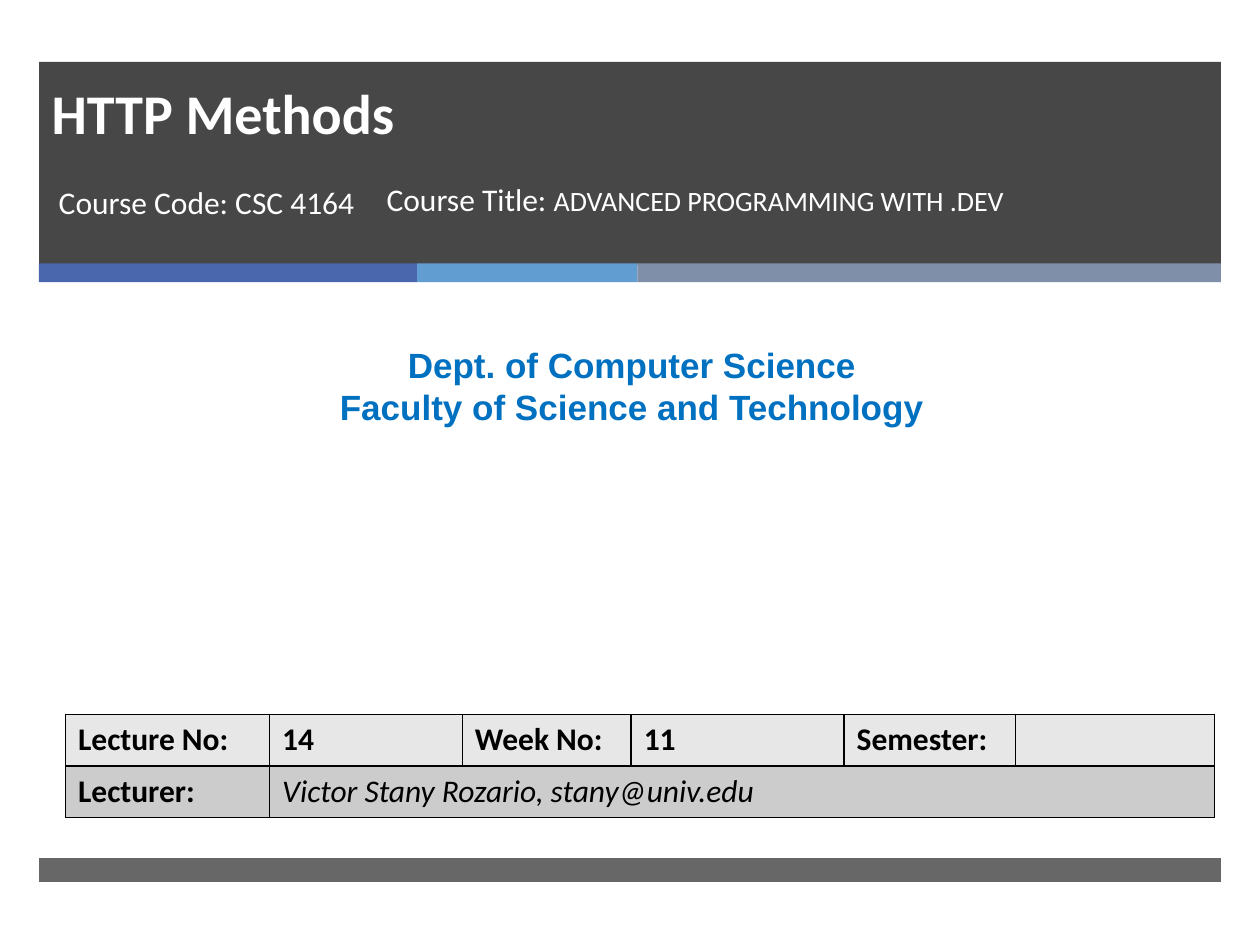
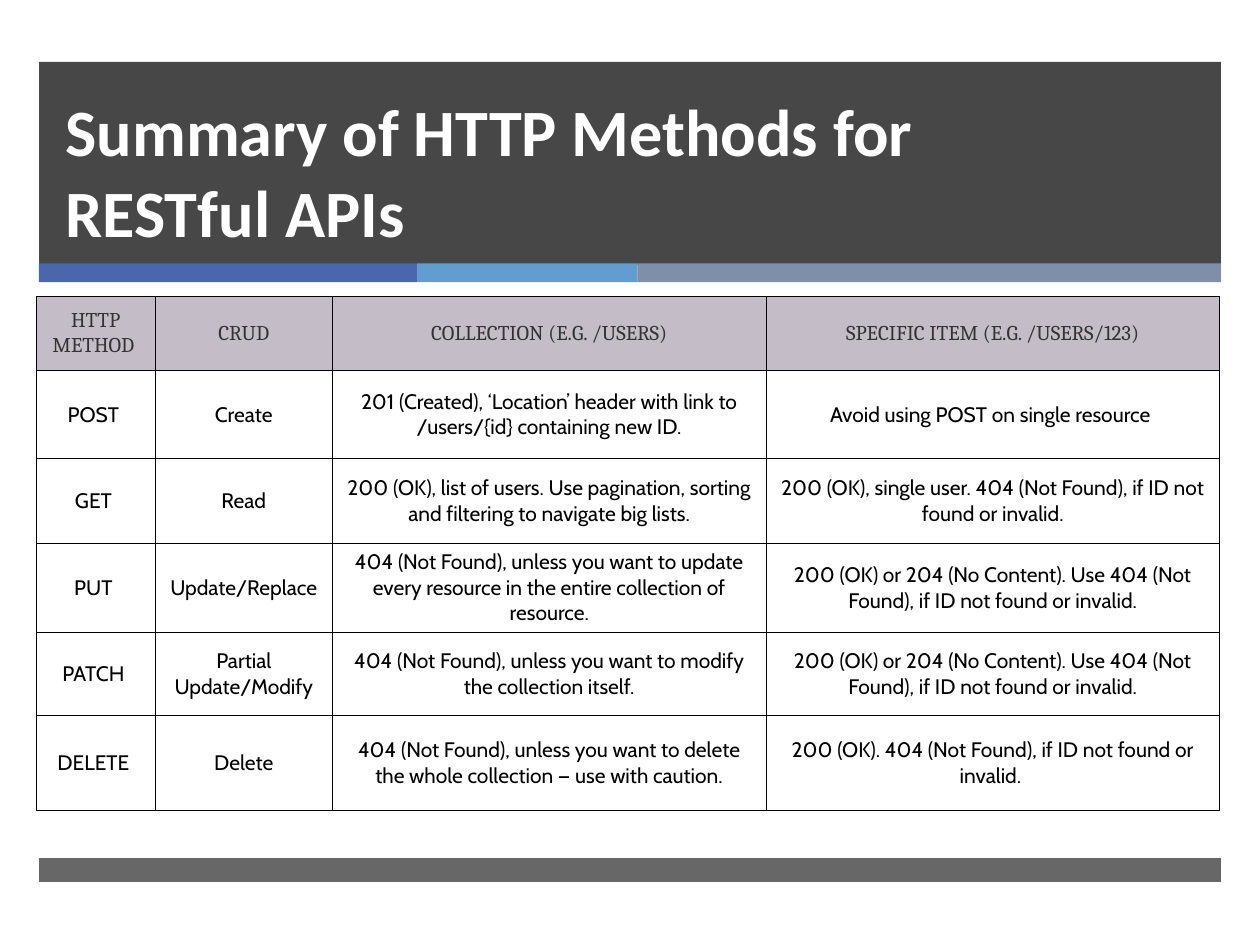
from pptx import Presentation
from pptx.dml.color import RGBColor
from pptx.enum.shapes import MSO_SHAPE as Shape
from pptx.enum.text import MSO_ANCHOR as Anchor, MSO_AUTO_SIZE as AutoSize, PP_ALIGN as Align
from pptx.oxml import parse_xml
from pptx.oxml.ns import nsdecls
from pptx.util import Inches, Pt

# Colours
WHITE = RGBColor(0xFF, 0xFF, 0xFF)
BLACK = RGBColor(0x00, 0x00, 0x00)
HEADER_GREY = RGBColor(0x47, 0x47, 0x47)
FOOTER_GREY = RGBColor(0x67, 0x67, 0x67)
INDIGO = RGBColor(0x4A, 0x66, 0xAC)
SKY = RGBColor(0x62, 0x9D, 0xD1)
SLATE = RGBColor(0x7F, 0x8F, 0xA9)
DEPARTMENT_BLUE = RGBColor(0x00, 0x70, 0xC0)
ROW_LIGHT = RGBColor(0xE7, 0xE7, 0xE7)
ROW_DARK = RGBColor(0xCC, 0xCC, 0xCC)
MAUVE = RGBColor(0xC4, 0xBC, 0xC6)
CHARCOAL = RGBColor(0x33, 0x33, 0x33)

TITLE_LAYOUT, TITLE_ONLY_LAYOUT = 0, 5

# Left, top, width, height and colour of the bands on every slide
BANDS = [
    (0.31, 0.49, 9.38, 1.61, HEADER_GREY),
    (0.31, 2.09, 3, 0.15, INDIGO),
    (3.31, 2.09, 1.75, 0.15, SKY),
    (5.06, 2.09, 4.63, 0.15, SLATE),
    (0.31, 6.81, 9.38, 0.19, FOOTER_GREY),
]

LECTURE_ROWS = [
    ["Lecture No:", "14", "Week No:", "11", "Semester:", ""],
    ["Lecturer:", "Victor Stany Rozario, stany@univ.edu", "", "", "", ""],
]

METHOD_ROWS = [
    ["HTTP METHOD ", "CRUD", "COLLECTION (E.G. /USERS)", "SPECIFIC ITEM (E.G. /USERS/123)"],
    ["POST ", "Create",
     "201 (Created), ‘Location’ header with link to /users/{id} containing new ID.",
     "Avoid using POST on single resource "],
    ["GET ", "Read",
     "200 (OK), list of users. Use pagination, sorting and filtering to navigate big lists.",
     "200 (OK), single user. 404 (Not Found), if ID not found or invalid."],
    ["PUT ", "Update/Replace",
     "404 (Not Found), unless you want to update every resource in the entire collection of resource.",
     "200 (OK) or 204 (No Content). Use 404 (Not Found), if ID not found or invalid."],
    ["PATCH ", "Partial Update/Modify",
     "404 (Not Found), unless you want to modify the collection itself.",
     "200 (OK) or 204 (No Content). Use 404 (Not Found), if ID not found or invalid."],
    ["DELETE ", "Delete",
     "404 (Not Found), unless you want to delete the whole collection — use with caution.",
     "200 (OK). 404 (Not Found), if ID not found or invalid. "],
]


class Deck:
    """Holds the presentation, its style and the current slide."""

    def __init__(self):
        self.presentation = Presentation()
        self.presentation.slide_width = Inches(10)
        self.presentation.slide_height = Inches(7.5)
        self.slide = None

    def add_slide(self, layout):
        self.slide = self.presentation.slides.add_slide(self.presentation.slide_layouts[layout])
        for left, top, width, height, color in BANDS:
            self.band(left, top, width, height, color)

    def band(self, left, top, width, height, color):
        shape = self.slide.shapes.add_shape(
            Shape.RECTANGLE, Inches(left), Inches(top), Inches(width), Inches(height))
        shape.shadow.inherit = False
        shape.fill.solid()
        shape.fill.fore_color.rgb = color
        shape.line.fill.background()

    def style(self, text_frame, size, color=WHITE, font="Calibri", bold=False, align=Align.LEFT):
        for paragraph in text_frame.paragraphs:
            paragraph.alignment = align
            paragraph.space_before = Pt(0)
            for run in paragraph.runs:
                run.font.name = font
                run.font.size = Pt(size)
                run.font.bold = bold
                run.font.color.rgb = color

    def placeholder(self, index, text, box, size, bold=False, anchor=Anchor.TOP):
        """Fills a placeholder and brings it in front of the bands."""
        shape = self.slide.placeholders[index]
        shape.left, shape.top, shape.width, shape.height = map(Inches, box)
        self.slide.shapes._spTree.append(shape._element)
        text_frame = shape.text_frame
        text_frame.text = text
        text_frame.word_wrap = True
        text_frame.auto_size = AutoSize.NONE
        text_frame.vertical_anchor = anchor
        self.style(text_frame, size, bold=bold)
        return text_frame

    def title(self, text, box, size):
        return self.placeholder(0, text, box, size, bold=True, anchor=Anchor.BOTTOM)

    def text_box(self, text, box, size, **style):
        text_frame = self.slide.shapes.add_textbox(*map(Inches, box)).text_frame
        text_frame.word_wrap = True
        text_frame.text = text
        self.style(text_frame, size, **style)
        return text_frame

    def table(self, rows, left, top, widths, heights, border):
        shape = self.slide.shapes.add_table(
            len(rows), len(widths), Inches(left), Inches(top),
            Inches(sum(widths)), Inches(sum(heights)))
        table = shape.table
        table.first_row = table.horz_banding = False
        for column, width in zip(table.columns, widths):
            column.width = Inches(width)
        for row, height, texts in zip(table.rows, heights, rows):
            row.height = Inches(height)
            for cell, text in zip(row.cells, texts):
                cell.text_frame.text = text
                self.cell_border(cell, border)
        return table

    def cell_border(self, cell, points):
        properties = cell._tc.get_or_add_tcPr()
        for position, side in enumerate(("lnL", "lnR", "lnT", "lnB")):
            properties.insert(position, parse_xml(
                f'<a:{side} {nsdecls("a")} w="{Pt(points)}"><a:solidFill>'
                f'<a:srgbClr val="{BLACK}"/></a:solidFill></a:{side}>'))

    def fill_cell(self, cell, color=None):
        if color is None:
            cell.fill.background()
        else:
            cell.fill.solid()
            cell.fill.fore_color.rgb = color


def build_cover(deck):
    deck.add_slide(TITLE_LAYOUT)

    # Lecture and course names
    deck.title("HTTP Methods", (0.31, 0.65, 8.69, 0.56), 32)
    deck.placeholder(1, " Course Code: CSC 4164", (0.31, 1.4, 2.66, 0.77), 18)
    course = deck.text_box("Course Title: ", (2.97, 1.38, 5.22, 0.77), 18)
    course_name = course.paragraphs[0].add_run()
    course_name.text = "ADVANCED PROGRAMMING WITH .DEV"
    course_name.font.name = "Calibri"
    course_name.font.size = Pt(16)
    course_name.font.color.rgb = WHITE

    # Department
    deck.text_box("Dept. of Computer Science\nFaculty of Science and Technology",
                  (0.08, 2.68, 9.87, 0.77), 20, color=DEPARTMENT_BLUE, font="Arial",
                  bold=True, align=Align.CENTER)

    # Lecture details
    table = deck.table(LECTURE_ROWS, 0.52, 5.67, [1.62, 1.53, 1.34, 1.69, 1.36, 1.58],
                       [0.41, 0.41], 1)
    for row, color in zip(table.rows, (ROW_LIGHT, ROW_DARK)):
        for cell in row.cells:
            deck.fill_cell(cell, color)
            deck.style(cell.text_frame, 18, color=BLACK, bold=True)
    lecturer = table.cell(1, 1)
    lecturer.merge(table.cell(1, 5))
    lecturer_font = lecturer.text_frame.paragraphs[0].runs[0].font
    lecturer_font.bold = False
    lecturer_font.italic = True


def build_summary(deck):
    deck.add_slide(TITLE_ONLY_LAYOUT)
    title = deck.title("Summary of HTTP Methods for RESTful APIs", (0.42, 0.85, 7.65, 1.19), 37.8)
    title.paragraphs[0].line_spacing = Pt(46)

    # Responses for each method
    table = deck.table(METHOD_ROWS, 0.29, 2.35, [0.94, 1.41, 3.44, 3.6],
                       [0.59, 0.7, 0.67, 0.71, 0.66, 0.75], 0.5)
    last = len(METHOD_ROWS) - 1
    for index, row in enumerate(table.rows):
        is_header = index == 0
        for cell in row.cells:
            cell.vertical_anchor = Anchor.MIDDLE
            if index < last:
                cell.margin_left = cell.margin_right = Inches(0.05)
                cell.margin_top = cell.margin_bottom = Inches(0.03)
            deck.fill_cell(cell, MAUVE if is_header else None)
            deck.style(cell.text_frame, 12, color=CHARCOAL if is_header else BLACK,
                       font="Cambria" if is_header else "Cabin", align=Align.CENTER)


def main():
    deck = Deck()
    build_cover(deck)
    build_summary(deck)
    deck.presentation.save("out.pptx")


if __name__ == "__main__":
    main()
